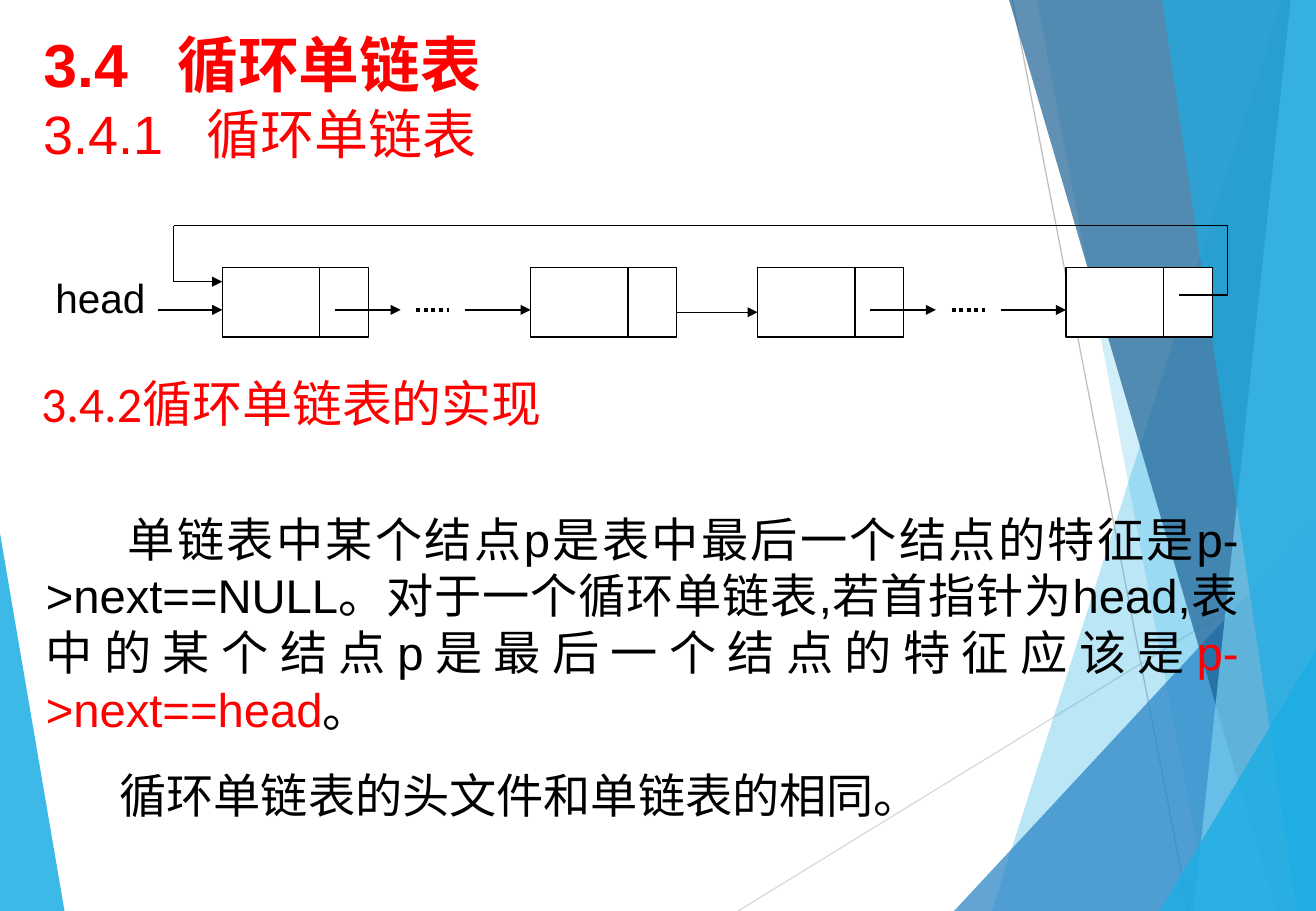
from lxml import etree
from pptx import Presentation
from pptx import util as u
from pptx.dml.color import RGBColor
from pptx.enum import dml, shapes, text
from pptx.oxml.ns import qn

WIDTH, HEIGHT = 27.53, 19.05
BLACK = RGBColor(0x00, 0x00, 0x00)
WHITE = RGBColor(0xFF, 0xFF, 0xFF)
RED = RGBColor(0xFF, 0x00, 0x00)
SKY = RGBColor(0x1C, 0xAD, 0xE4)
PALE = RGBColor(0x77, 0xCE, 0xEF)
BLUE = RGBColor(0x26, 0x83, 0xC6)
NAVY = RGBColor(0x1D, 0x62, 0x95)
GREY = RGBColor(0xBF, 0xBF, 0xBF)
LIGHT_GREY = RGBColor(0xD9, 0xD9, 0xD9)


def add_line(page, start, end, color=BLACK, width=0.75, arrow=False):
    """Draw a straight line between two points, with an arrowhead if asked."""
    line = page.shapes.add_connector(
        shapes.MSO_CONNECTOR.STRAIGHT, *(u.Cm(value) for value in (*start, *end)))
    line.line.color.rgb = color
    line.line.width = u.Pt(width)
    etree.SubElement(line._element.spPr, qn("a:effectLst"))
    if arrow:
        etree.SubElement(line.line._get_or_add_ln(), qn("a:tailEnd"), type="triangle")
    return line


def add_facet(page, points, color, opacity):
    """Draw a translucent polygon of the backdrop."""
    corners = [(u.Cm(x), u.Cm(y)) for x, y in points]
    builder = page.shapes.build_freeform(*corners[0])
    builder.add_line_segments(corners[1:])
    facet = builder.convert_to_shape()
    facet.shadow.inherit = False
    facet.fill.solid()
    facet.fill.fore_color.rgb = color
    facet.line.fill.background()
    shade = facet._element.spPr.find(qn("a:solidFill"))[0]
    etree.SubElement(shade, qn("a:alpha"), val=str(opacity * 1000))


def add_backdrop(page, width, height):
    """Draw the facets and thin lines along the slide edges."""
    add_facet(page, [(0, 11.15), (1.35, height), (0, height)], SKY, 85)
    add_line(page, (15.44, height), (width, 11.63), LIGHT_GREY)
    add_line(page, (21.18, 0), (24.87, height), GREY)
    for top_x, bottom_x, color, opacity in (
            (26.82, 20.75, SKY, 30), (21.69, 25.3, SKY, 20)):
        add_band(page, top_x, bottom_x, width, height, color, opacity)
    add_facet(page, [(19.96, height), (width, 10.9), (width, height)], BLUE, 72)
    for top_x, bottom_x, color, opacity in (
            (21.11, 26.7, NAVY, 70), (27, 24.97, PALE, 70), (24.31, 27.13, SKY, 65)):
        add_band(page, top_x, bottom_x, width, height, color, opacity)
    add_facet(page, [(24.26, height), (width, 13.59), (width, height)], SKY, 80)


def add_band(page, top_x, bottom_x, width, height, color, opacity):
    """Draw a full-height facet reaching the right edge."""
    add_facet(page, [(top_x, 0), (bottom_x, height), (width, height), (width, 0)],
              color, opacity)


def add_text(page, box, paragraphs, size, anchor=text.MSO_ANCHOR.TOP):
    """Place paragraphs of (text, colour, font) runs in a box and return them."""
    frame = page.shapes.add_textbox(*(u.Cm(value) for value in box)).text_frame
    frame.word_wrap = True
    frame.vertical_anchor = anchor
    paras = []
    for index, spans in enumerate(paragraphs):
        para = frame.add_paragraph() if index else frame.paragraphs[0]
        for words, color, font in spans:
            span = para.add_run()
            span.text = words
            span.font.size = u.Pt(size)
            span.font.name = font
            span.font.color.rgb = color
        paras.append(para)
    return paras


def add_heading(page, box, number, title, size, gap, bold=False):
    """Write a red section number and its title at a tab stop."""
    para = add_text(page, box, [[(f"{number}\t{title}", RED, "Arial")]], size)[0]
    stops = etree.SubElement(para._p.get_or_add_pPr(), qn("a:tabLst"))
    etree.SubElement(stops, qn("a:tab"), pos=str(u.Cm(gap)), algn="l")
    para.runs[0].font.bold = bold


def add_node(page, left, top):
    """Draw a list node: a data cell and a pointer cell."""
    for offset, width in ((0, 2.04), (2.04, 1.02)):
        cell = page.shapes.add_shape(
            shapes.MSO_SHAPE.RECTANGLE, u.Cm(left + offset), u.Cm(top),
            u.Cm(width), u.Cm(1.46))
        cell.shadow.inherit = False
        cell.fill.solid()
        cell.fill.fore_color.rgb = WHITE
        cell.line.color.rgb = BLACK
        cell.line.width = u.Pt(0.75)


def add_ring_diagram(page, left, top):
    """Draw the circular list with its head pointer and return path."""
    first, pair_step, node_step = left + 3.74, 11.2, 6.45
    level = top + 1.76
    add_line(page, (first + node_step + 2.72, level + 0.05),
             (first + pair_step, level + 0.05), arrow=True)
    for pair in range(2):
        start = first + pair * pair_step
        for node in range(2):
            add_node(page, start + node * node_step, top + 0.87)
        for begin, end in ((2.36, 3.73), (5.08, node_step)):
            add_line(page, (start + begin, level), (start + end, level), arrow=True)
        dots = add_line(page, (start + 4.06, level), (start + 4.75, level), width=2.25)
        dots.line.dash_style = dml.MSO_LINE.ROUND_DOT
    add_text(page, (left, top + 0.87, 4.42, 1.27), [[("head", BLACK, "Arial")]], 24)
    add_line(page, (first - 1.35, level), (first, level), arrow=True)

    right, inner = left + 24.77, left + 2.72
    route = [(right - 1.02, top + 1.45), (right, top + 1.45), (right, top),
             (inner, top), (inner, top + 1.17), (first, top + 1.17)]
    for start, end in zip(route, route[1:]):
        add_line(page, start, end, arrow=end == route[-1])


def add_implementation(page, left, top):
    """Write the heading and explanation of the implementation."""
    heading = add_text(
        page, (left, top, 24.77, 1.6),
        [[("3.4.2", RED, "Calibri"), ("循环单链表的实现", RED, "Arial")]],
        29.6, text.MSO_ANCHOR.MIDDLE)[0]
    heading.line_spacing = 0.9
    body = add_text(page, (left + 0.1, top + 2.84, 25.45, 6.81), [
        [("单链表中某个结点p是表中最后一个结点的特征是p->next==NULL。"
          "对于一个循环单链表,若首指针为head,"
          "表中的某个结点p是最后一个结点的特征应该是", BLACK, "Arial"),
         ("p->next==head", RED, "Arial"), ("。", BLACK, "Arial")],
        [("循环单链表的头文件和单链表的相同。", BLACK, "Arial")]], 28)
    for para, indent in zip(body, (1.71, 1.54)):
        para._p.get_or_add_pPr().set("indent", str(u.Cm(indent)))
    body[0].alignment = text.PP_ALIGN.JUSTIFY
    body[1].space_before = u.Pt(17.5)


def main():
    """Build the circular linked list slide."""
    deck = Presentation()
    deck.slide_width, deck.slide_height = u.Cm(WIDTH), u.Cm(HEIGHT)
    page = deck.slides.add_slide(deck.slide_layouts[6])
    add_backdrop(page, WIDTH, HEIGHT)
    add_heading(page, (0.66, 0.43, 24.77, 1.98), "3.4", "循环单链表", 36, 2.8, bold=True)
    add_heading(page, (0.66, 1.98, 14.22, 1.63), "3.4.1", "循环单链表", 32, 3.41)
    add_ring_diagram(page, 0.91, 4.72)
    add_implementation(page, 0.61, 7.7)
    deck.save("out.pptx")


if __name__ == "__main__":
    main()
